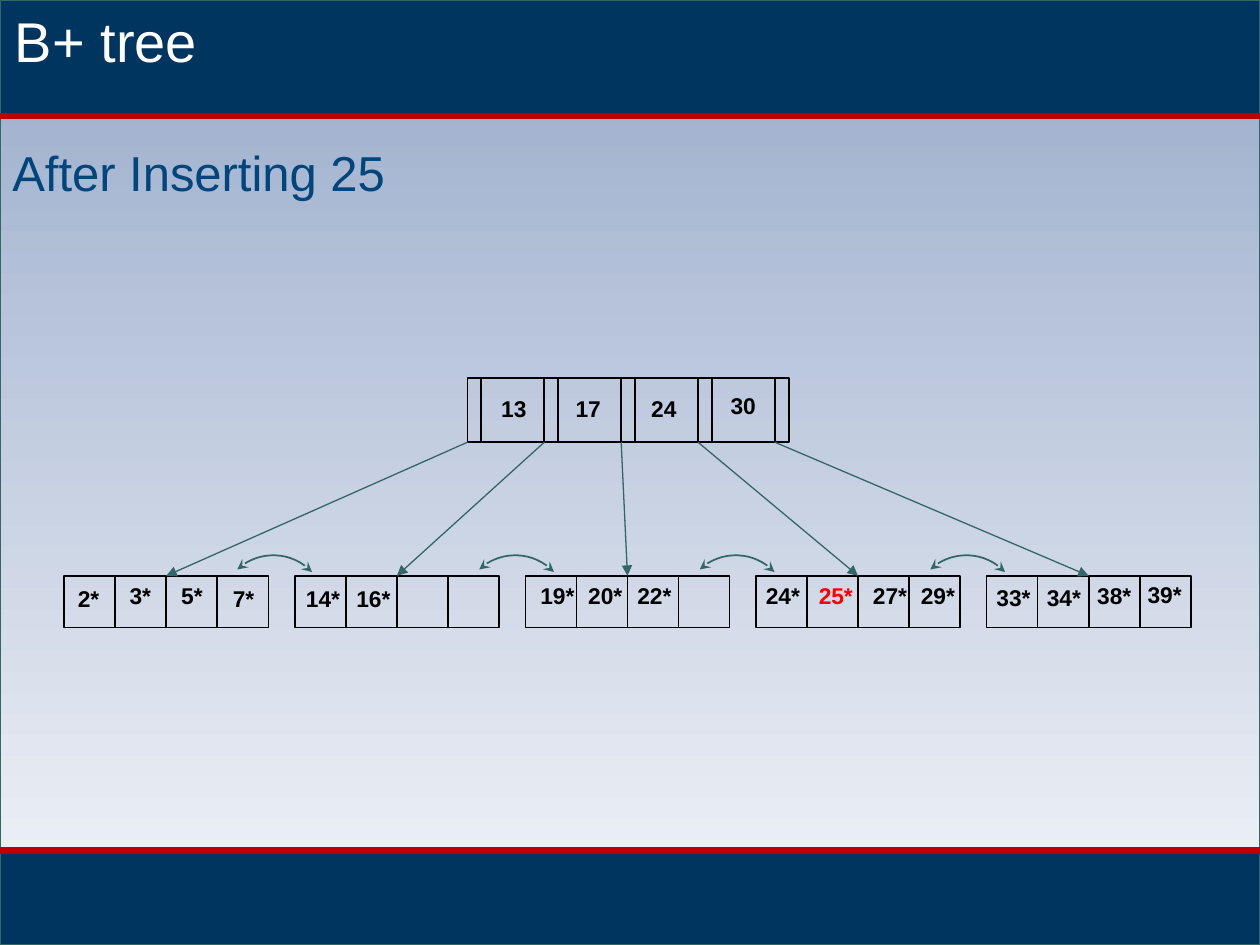
import math
from lxml import etree
from pptx import Presentation
from pptx import util as u
from pptx.dml.color import RGBColor
from pptx.enum import shapes as s, text as t
from pptx.oxml.ns import qn

NAVY, RED, TEAL, BLACK = "003560", "BC0000", "336666", "000000"
rgb = RGBColor.from_string

deck = Presentation()
deck.slide_width, deck.slide_height = u.Inches(10), u.Inches(7.5)
page = deck.slides.add_slide(deck.slide_layouts[6]).shapes


def stroke(item, color, width, head=None, tail=None):
    """Set the outline and arrowheads, and drop the shadow."""
    item.line.color.rgb = rgb(color)
    item.line.width = u.Pt(width)
    for tag, kind in (("a:headEnd", head), ("a:tailEnd", tail)):
        if kind:
            etree.SubElement(item.line._get_or_add_ln(), qn(tag), type=kind)
    etree.SubElement(item._element.spPr, qn("a:effectLst"))


def label(x, y, w, h, words, size, color, bold=False, wrap=False):
    box = page.add_textbox(*map(u.Inches, (x, y, w, h)))
    frame = box.text_frame
    frame.text = words
    frame.word_wrap = wrap
    frame.auto_size = t.MSO_AUTO_SIZE.SHAPE_TO_FIT_TEXT
    font = frame.paragraphs[0].runs[0].font
    font.name, font.size, font.bold = "Arial", u.Pt(size), bold
    font.color.rgb = rgb(color)


# Background and bands
for y, h, color in ((0, 7.5, None), (6.75, 0.75, NAVY), (0, 0.92, NAVY)):
    band = page.add_shape(s.MSO_SHAPE.RECTANGLE, 0, u.Inches(y), u.Inches(10), u.Inches(h))
    if color:
        band.fill.solid()
        band.fill.fore_color.rgb = rgb(color)
    else:
        band.fill.gradient()
        band.fill.gradient_angle = 270
        for stop, shade in zip(band.fill.gradient_stops, ("99ABCB", "F3F5F9")):
            stop.color.rgb = rgb(shade)
    stroke(band, TEAL, 0.75)

# Red rules
for y in (0.92, 6.75):
    rule = page.add_connector(s.MSO_CONNECTOR.STRAIGHT, 0, u.Inches(y), u.Inches(10), u.Inches(y))
    stroke(rule, RED, 3.75)

# Headings
label(0, 1.08, 10, 0.57, "After Inserting 25", 28, "00457C", wrap=True)
label(0.02, 0, 9.98, 0.64, "B+ tree", 32, "FFFFFF", wrap=True)

# Cells of the root and the five leaves
keys = [3.71 + 0.61 * i for i in range(5)]
leaves = [0.51 + 1.83 * i for i in range(5)]
cells = [(x, 3, 0.61, 0.51) for x in keys[:4]] + [(keys[4], 3, 0.11, 0.51)]
cells += [(x + 0.405 * j, 4.57, 0.405, 0.41) for x in leaves for j in range(4)]
for cell in cells:
    box = page.add_shape(s.MSO_SHAPE.RECTANGLE, *map(u.Inches, cell))
    box.fill.background()
    stroke(box, BLACK, 1)

# Pointer slots in the root
for x in keys[:4]:
    slot = page.add_connector(s.MSO_CONNECTOR.STRAIGHT,
                              *map(u.Inches, (x + 0.11, 3, x + 0.11, 3.51)))
    stroke(slot, BLACK, 1)

# Keys and entries
marks = [
    ("13", 3.88, 3.08), ("17", 4.47, 3.08), ("24", 5.07, 3.08), ("30", 5.7, 3.06),
    ("2*", 0.52, 4.59), ("3*", 0.93, 4.57), ("5*", 1.34, 4.57), ("7*", 1.75, 4.59),
    ("14*", 2.33, 4.59), ("16*", 2.73, 4.59),
    ("19*", 4.19, 4.57), ("20*", 4.57, 4.57), ("22*", 4.96, 4.57),
    ("24*", 5.98, 4.57), ("25*", 6.4, 4.57), ("27*", 6.83, 4.57), ("29*", 7.21, 4.57),
    ("33*", 7.81, 4.58), ("34*", 8.21, 4.58), ("38*", 8.61, 4.57), ("39*", 9.01, 4.56),
]
for words, x, y in marks:
    wide = 0.47 if len(words) == 3 else 0.37 if "*" in words else 0.4
    label(x, y, wide, 0.32, words, 13, "FF0000" if words == "25*" else BLACK, bold=True)

# Sibling links: quarter arcs turned to face up
size, steps = 0.42, 16
turns = [math.pi / 2 * i / steps for i in range(steps + 1)]
for x in (1.97, 3.89, 5.64, 7.47):
    dots = [(u.Inches(x + size * math.sin(a)), u.Inches(4.32 + size * (1 - math.cos(a))))
            for a in turns]
    pen = page.build_freeform(*dots[0])
    pen.add_line_segments(dots[1:], close=False)
    arc = pen.convert_to_shape()
    arc.rotation = 317
    arc.fill.background()
    stroke(arc, TEAL, 1, "stealth", "stealth")

# Child pointers
for x, leaf in zip(keys, leaves):
    link = page.add_connector(s.MSO_CONNECTOR.STRAIGHT,
                              *map(u.Inches, (x, 3.51, leaf + 0.81, 4.57)))
    stroke(link, TEAL, 0.75, tail="triangle")

deck.save("out.pptx")
